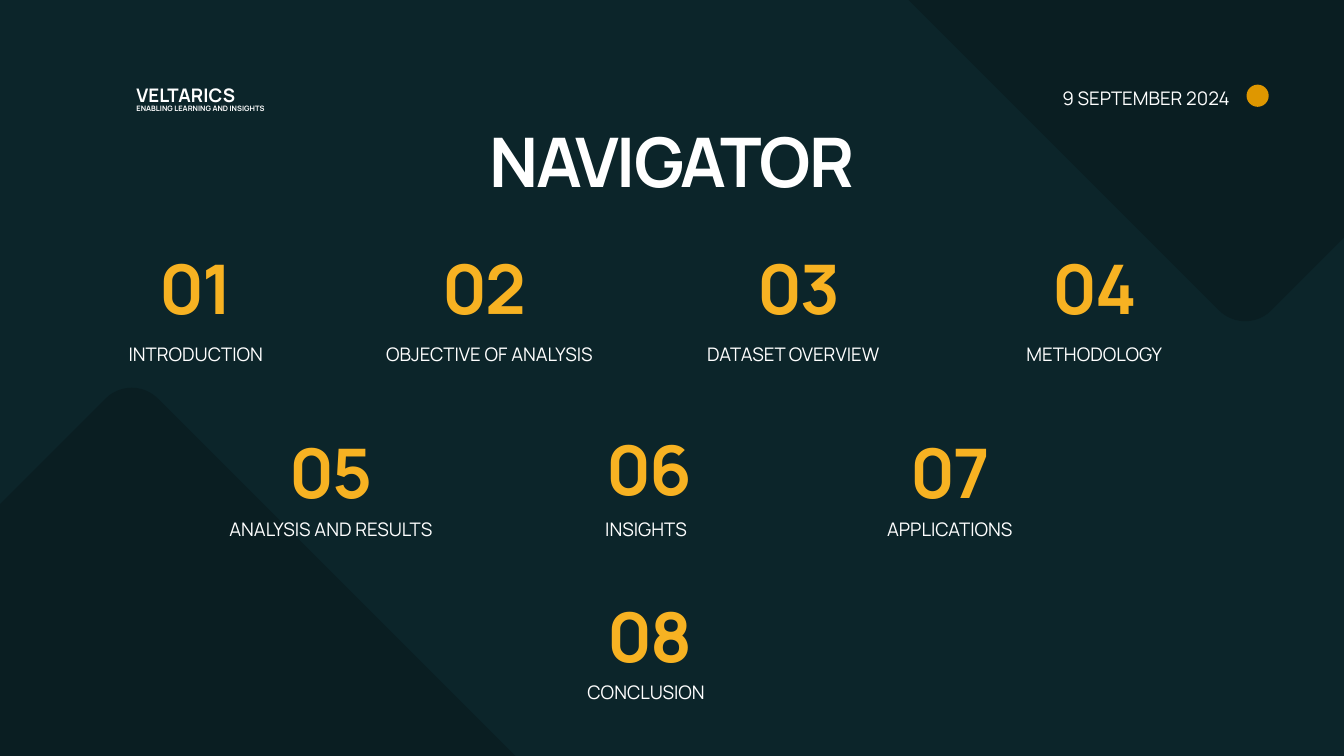
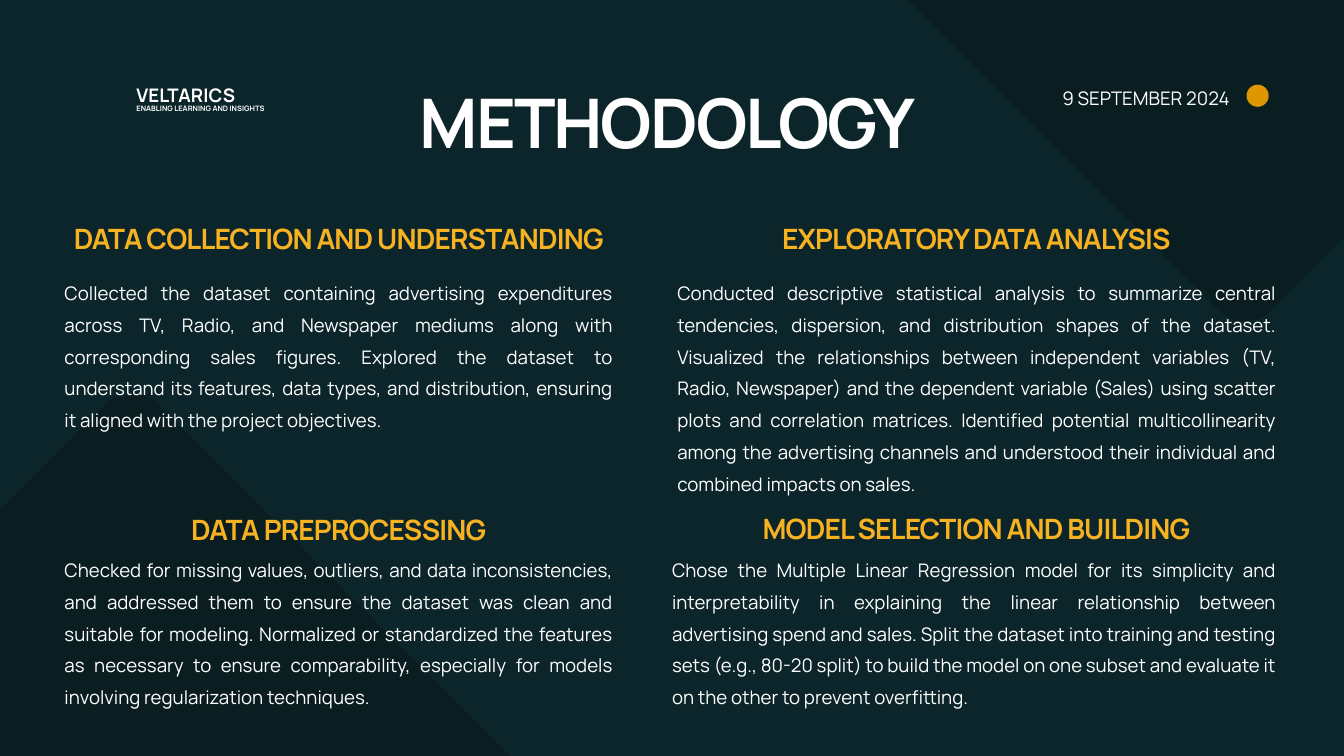
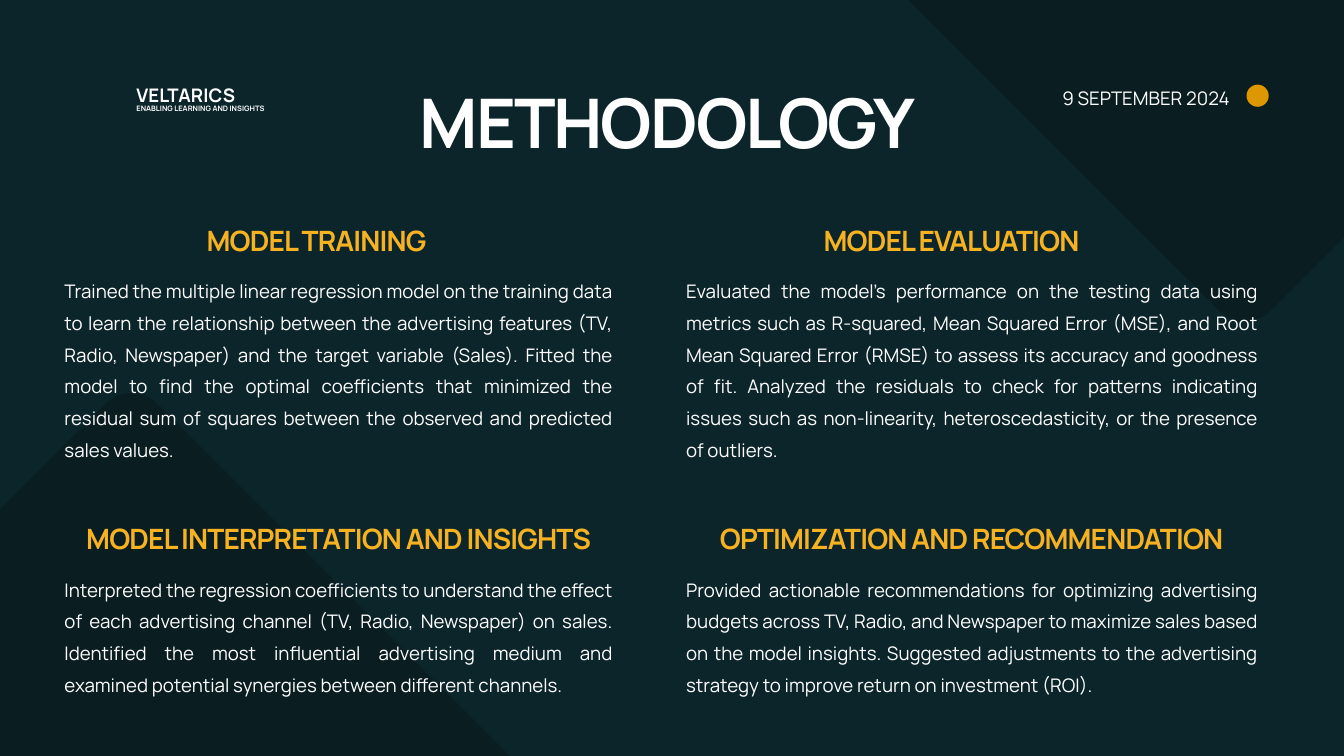
import math
from dataclasses import dataclass

from pptx import Presentation
from pptx import util as u
from pptx.dml.color import RGBColor
from pptx.enum import shapes, text
from pptx.slide import Slide

PX = 9144  # EMU per px, 100 px to the inch
SLIDE_WIDTH, SLIDE_HEIGHT = 2000, 1125

BACKGROUND = RGBColor(0x0C, 0x25, 0x2A)
DIAMOND = RGBColor(0x0A, 0x1E, 0x22)
DOT = RGBColor(0xDF, 0x97, 0x00)
AMBER = RGBColor(0xF7, 0xB2, 0x22)
WHITE = RGBColor(0xFF, 0xFF, 0xFF)

FONT = "Manrope"
LEFT, CENTER = text.PP_ALIGN.LEFT, text.PP_ALIGN.CENTER
RIGHT, JUSTIFY = text.PP_ALIGN.RIGHT, text.PP_ALIGN.JUSTIFY

CORNER_RADIUS = 55
CORNER_DISTANCE = 542
ARC_STEPS = 12


@dataclass(frozen=True)
class Box:
    left: int
    top: int
    width: int
    height: int

    def emu(self) -> list[int]:
        return [side * PX for side in (self.left, self.top, self.width, self.height)]


@dataclass(frozen=True)
class Style:
    size: float
    line: float
    color: RGBColor = WHITE
    bold: bool = False
    spacing: float = 0
    align: text.PP_ALIGN = CENTER


TITLE = Style(73.3, 70.4, bold=True, spacing=-2.2)
NUMBER = Style(73.3, 70.4, AMBER, bold=True, spacing=-2.2)
HEADING = Style(30, 28.8, AMBER, bold=True, spacing=-0.9)
LABEL = Style(20, 34)
BODY = Style(20, 34, align=JUSTIFY)
DATE = Style(20, 28, align=RIGHT)
BRAND = Style(20, 19.2, bold=True, align=LEFT)
TAGLINE = Style(8, 7.7, bold=True, align=LEFT)


@dataclass(frozen=True)
class Chapter:
    label: str
    label_left: int
    number_left: int
    number_top: int
    label_top: int
    number_width: int = 189


@dataclass(frozen=True)
class Section:
    heading: str
    heading_left: int
    heading_top: int
    body: str
    body_box: Box
    heading_height: int = 44


CHAPTERS = [
    Chapter("INTRODUCTION", 20, 225, 390, 497, number_width=133),
    Chapter("OBJECTIVE OF ANALYSIS", 457, 626, 390, 497),
    Chapter("DATASET OVERVIEW", 909, 1094, 390, 497),
    Chapter("METHODOLOGY", 1357, 1534, 390, 497),
    Chapter("ANALYSIS AND RESULTS", 221, 398, 665, 757),
    Chapter("INSIGHTS", 690, 872, 660, 757),
    Chapter("APPLICATIONS", 1142, 1319, 665, 757),
    Chapter("CONCLUSION", 690, 872, 908, 999),
]

PREPARATION = [
    Section(
        "DATA COLLECTION AND UNDERSTANDING", 0, 340,
        "Collected the dataset containing advertising expenditures across TV, Radio, and "
        "Newspaper mediums along with corresponding sales figures. Explored the dataset to "
        "understand its features, data types, and distribution, ensuring it aligned with the "
        "project objectives.",
        Box(96, 406, 816, 281)),
    Section(
        "EXPLORATORY DATA ANALYSIS", 949, 340,
        "Conducted descriptive statistical analysis to summarize central tendencies, "
        "dispersion, and distribution shapes of the dataset. Visualized the relationships "
        "between independent variables (TV, Radio, Newspaper) and the dependent variable "
        "(Sales) using scatter plots and correlation matrices. Identified potential "
        "multicollinearity among the advertising channels and understood their individual "
        "and combined impacts on sales.",
        Box(1008, 406, 891, 375)),
    Section(
        "DATA PREPROCESSING", 0, 773,
        "Checked for missing values, outliers, and data inconsistencies, and addressed them "
        "to ensure the dataset was clean and suitable for modeling. Normalized or "
        "standardized the features as necessary to ensure comparability, especially for "
        "models involving regularization techniques.",
        Box(96, 818, 816, 281)),
    Section(
        "MODEL SELECTION AND BUILDING", 949, 771,
        "Chose the Multiple Linear Regression model for its simplicity and interpretability "
        "in explaining the linear relationship between advertising spend and sales. Split "
        "the dataset into training and testing sets (e.g., 80-20 split) to build the model "
        "on one subset and evaluate it on the other to prevent overfitting.",
        Box(1000, 818, 899, 281)),
]

MODELING = [
    Section(
        "MODEL TRAINING", -33, 343,
        "Trained the multiple linear regression model on the training data to learn the "
        "relationship between the advertising features (TV, Radio, Newspaper) and the target "
        "variable (Sales). Fitted the model to find the optimal coefficients that minimized "
        "the residual sum of squares between the observed and predicted sales values.",
        Box(96, 403, 816, 281)),
    Section(
        "MODEL EVALUATION", 912, 342,
        "Evaluated the model’s performance on the testing data using metrics such as "
        "R-squared, Mean Squared Error (MSE), and Root Mean Squared Error (RMSE) to assess "
        "its accuracy and goodness of fit. Analyzed the residuals to check for patterns "
        "indicating issues such as non-linearity, heteroscedasticity, or the presence of "
        "outliers.",
        Box(1021, 403, 851, 281)),
    Section(
        "MODEL INTERPRETATION AND INSIGHTS", 0, 786,
        "Interpreted the regression coefficients to understand the effect of each "
        "advertising channel (TV, Radio, Newspaper) on sales. Identified the most "
        "influential advertising medium and examined potential synergies between different "
        "channels.",
        Box(96, 847, 816, 234), heading_height=84),
    Section(
        "OPTIMIZATION AND RECOMMENDATION", 942, 786,
        "Provided actionable recommendations for optimizing advertising budgets across TV, "
        "Radio, and Newspaper to maximize sales based on the model insights. Suggested "
        "adjustments to the advertising strategy to improve return on investment (ROI).",
        Box(1021, 847, 851, 234)),
]


def write(paragraph, content: str, *, style: Style) -> None:
    paragraph.alignment = style.align
    paragraph.line_spacing = u.Pt(style.line)
    run = paragraph.add_run()
    run.text = content
    run.font.name = FONT
    run.font.size = u.Pt(style.size)
    run.font.bold = style.bold
    run.font.color.rgb = style.color
    if style.spacing:
        run._r.get_or_add_rPr().set("spc", str(round(style.spacing * 100)))


def add_text(slide: Slide, content: str, *, box: Box, style: Style):
    """Add a text box without insets and return its text frame."""
    frame = slide.shapes.add_textbox(*box.emu()).text_frame
    frame.margin_left = frame.margin_top = frame.margin_right = frame.margin_bottom = 0
    frame.word_wrap = True
    frame.auto_size = text.MSO_AUTO_SIZE.SHAPE_TO_FIT_TEXT
    write(frame.paragraphs[0], content, style=style)
    return frame


def paint(shape, color: RGBColor) -> None:
    shape.shadow.inherit = False
    shape.fill.solid()
    shape.fill.fore_color.rgb = color
    shape.line.fill.background()


def add_diamond(slide: Slide, center_x: int, center_y: int) -> None:
    """Draw a diamond whose four corners are rounded by quarter arcs."""
    points = []
    for corner in range(0, 360, 90):
        direction = math.radians(corner)
        arc_x = center_x + CORNER_DISTANCE * math.cos(direction)
        arc_y = center_y + CORNER_DISTANCE * math.sin(direction)
        for step in range(ARC_STEPS + 1):
            angle = math.radians(corner - 45 + 90 * step / ARC_STEPS)
            points.append(((arc_x + CORNER_RADIUS * math.cos(angle)) * PX,
                           (arc_y + CORNER_RADIUS * math.sin(angle)) * PX))
    builder = slide.shapes.build_freeform(*points[0])
    builder.add_line_segments(points[1:], close=True)
    paint(builder.convert_to_shape(), DIAMOND)


def add_base_slide(presentation, title: str, *, title_box: Box, lower_diamond_y: int) -> Slide:
    slide = presentation.slides.add_slide(presentation.slide_layouts[6])
    slide.background.fill.solid()
    slide.background.fill.fore_color.rgb = BACKGROUND
    add_diamond(slide, 1853, -119)
    add_diamond(slide, 196, lower_diamond_y)
    dot = slide.shapes.add_shape(shapes.MSO_SHAPE.OVAL, *Box(1855, 126, 33, 33).emu())
    paint(dot, DOT)
    add_text(slide, title, box=title_box, style=TITLE)
    brand = add_text(slide, "VELTARICS", box=Box(203, 131, 232, 39), style=BRAND)
    write(brand.add_paragraph(), "ENABLING LEARNING AND INSIGHTS", style=TAGLINE)
    add_text(slide, "9 SEPTEMBER 2024", box=Box(1570, 123, 260, 39), style=DATE)
    return slide


def add_navigator(presentation) -> None:
    slide = add_base_slide(presentation, "NAVIGATOR",
                           title_box=Box(492, 201, 1015, 111), lower_diamond_y=1174)
    for index, chapter in enumerate(CHAPTERS, start=1):
        add_text(slide, f"{index:02}", style=NUMBER,
                 box=Box(chapter.number_left, chapter.number_top, chapter.number_width, 111))
        add_text(slide, chapter.label, style=LABEL,
                 box=Box(chapter.label_left, chapter.label_top, 543, 47))


def add_methodology(presentation, sections: list[Section]) -> None:
    slide = add_base_slide(presentation, "METHODOLOGY",
                           title_box=Box(486, 143, 1015, 111), lower_diamond_y=1182)
    for section in sections:
        add_text(slide, section.heading, style=HEADING,
                 box=Box(section.heading_left, section.heading_top, 1008,
                         section.heading_height))
        add_text(slide, section.body, box=section.body_box, style=BODY)


def main() -> None:
    presentation = Presentation()
    presentation.slide_width = SLIDE_WIDTH * PX
    presentation.slide_height = SLIDE_HEIGHT * PX
    add_navigator(presentation)
    for sections in (PREPARATION, MODELING):
        add_methodology(presentation, sections)
    presentation.save("out.pptx")


if __name__ == "__main__":
    main()
